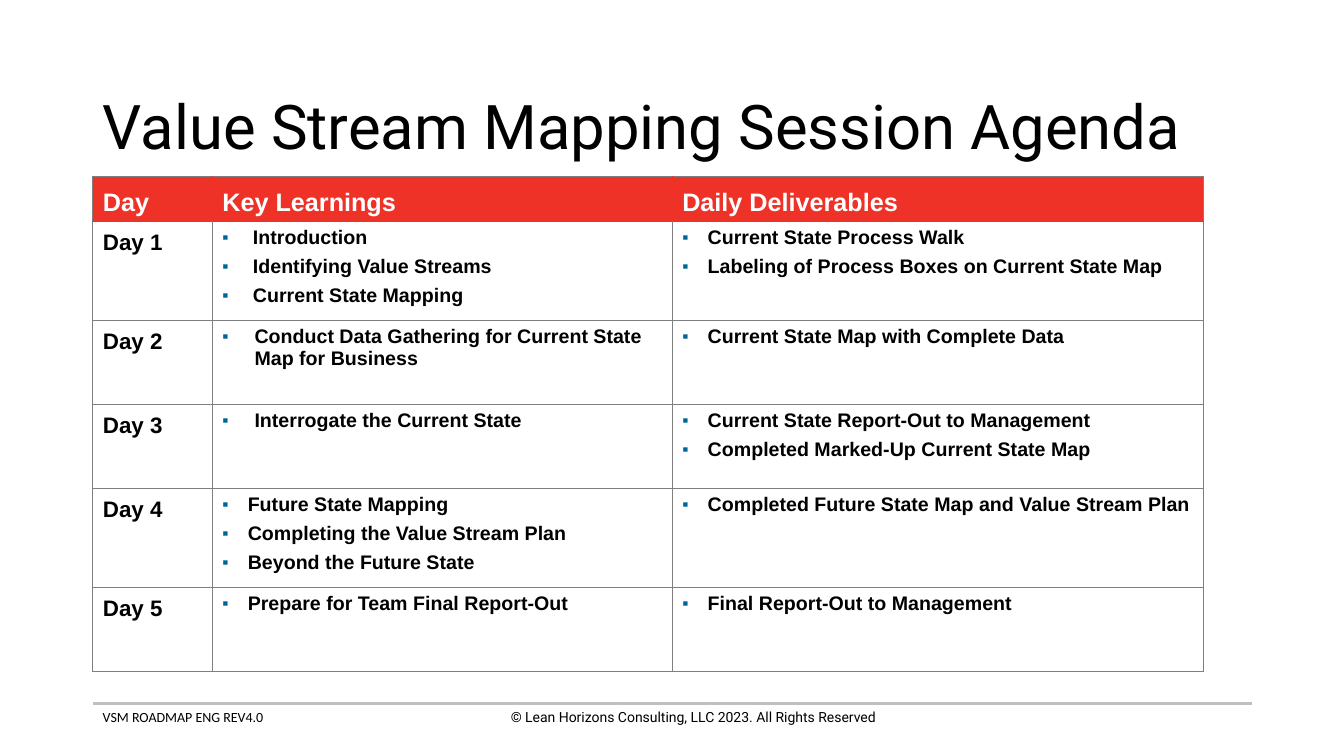
from dataclasses import dataclass

from lxml import etree
from pptx import Presentation
from pptx.dml.color import RGBColor
from pptx.enum import shapes, text
from pptx.oxml import ns
from pptx.util import Cm, Pt

RED = RGBColor(0xEE, 0x32, 0x28)
GREY = RGBColor(0x7F, 0x7F, 0x7F)
SILVER = RGBColor(0xBF, 0xBF, 0xBF)
BLUE = RGBColor(0x00, 0x66, 0x99)
BLACK = RGBColor(0, 0, 0)
WHITE = RGBColor(0xFF, 0xFF, 0xFF)

LEFT = Cm(2.34)
FOOTER_TOP = Cm(17.73)
COLUMN_WIDTHS = (Cm(3.01), Cm(11.59), Cm(13.38))
HEADER_HEIGHT = Cm(1.13)
BULLET_INDENT = Cm(0.64)


@dataclass(frozen=True)
class Day:
    learnings: tuple[str, ...]
    deliverables: tuple[str, ...]
    height: Cm = Cm(2.11)
    indent: Cm = BULLET_INDENT


@dataclass(frozen=True)
class Footer:
    label: str
    left: Cm
    font: str
    align: text.PP_ALIGN


HEADINGS = ("Day", "Key Learnings", "Daily Deliverables")
DAYS = (
    Day(("Introduction", "Identifying Value Streams", "Current State Mapping"),
        ("Current State Process Walk", "Labeling of Process Boxes on Current State Map"),
        height=Cm(2.5), indent=Cm(0.77)),
    Day(("Conduct Data Gathering for Current State Map for Business",),
        ("Current State Map with Complete Data",), indent=Cm(0.81)),
    Day(("Interrogate the Current State",),
        ("Current State Report-Out to Management", "Completed Marked-Up Current State Map"),
        indent=Cm(0.81)),
    Day(("Future State Mapping", "Completing the Value Stream Plan", "Beyond the Future State"),
        ("Completed Future State Map and Value Stream Plan",), height=Cm(2.5)),
    Day(("Prepare for Team Final Report-Out",), ("Final Report-Out to Management",)),
)
FOOTERS = (
    Footer("VSM ROADMAP ENG REV4.0", LEFT, "Calibri", text.PP_ALIGN.LEFT),
    Footer("© Lean Horizons Consulting, LLC 2023. All Rights Reserved", Cm(11.68),
           "Roboto", text.PP_ALIGN.CENTER),
)


def add_bullet(p, indent: Cm) -> None:
    pPr = p._p.get_or_add_pPr()
    pPr.set("marL", str(indent))
    pPr.set("indent", str(-indent))
    colour = etree.SubElement(pPr, ns.qn("a:buClr"))
    etree.SubElement(colour, ns.qn("a:srgbClr"), val=str(BLUE))
    etree.SubElement(pPr, ns.qn("a:buSzPct"), val="90000")
    etree.SubElement(pPr, ns.qn("a:buFont"), typeface="Arial")
    etree.SubElement(pPr, ns.qn("a:buChar"), char="▪")


def write(tf, *lines: str, size: float, font: str = "Arial", color: RGBColor = BLACK,
          bold: bool = False, align: text.PP_ALIGN = text.PP_ALIGN.LEFT,
          spacing: float = 1.0, gap: float = 0, indent: Cm | None = None) -> None:
    """Fill a text frame with one paragraph per line; an indent makes them bullets."""
    for i, line in enumerate(lines):
        p = tf.paragraphs[0] if i == 0 else tf.add_paragraph()
        if indent is not None:
            add_bullet(p, indent)
        p.alignment = align
        p.line_spacing = spacing
        p.space_before = Pt(gap if i else 0)
        p.space_after = Pt(0)
        r = p.add_run()
        r.text = line
        r.font.name = font
        r.font.size = Pt(size)
        r.font.bold = bold
        r.font.color.rgb = color


def set_borders(cell, **edges: RGBColor) -> None:
    """Draw the cell edges L, R, T and B in grey unless another colour is given."""
    tcPr = cell._tc.get_or_add_tcPr()
    for edge in "LRTB":
        ln = etree.SubElement(tcPr, ns.qn(f"a:ln{edge}"), w=str(Pt(1)))
        fill = etree.SubElement(ln, ns.qn("a:solidFill"))
        etree.SubElement(fill, ns.qn("a:srgbClr"), val=str(edges.get(edge, GREY)))


def add_title(s) -> None:
    title = s.shapes.title
    title.left, title.top, title.width, title.height = LEFT, Cm(1.88), Cm(29.21), Cm(2.79)
    tf = title.text_frame
    tf.auto_size = text.MSO_AUTO_SIZE.NONE
    tf.vertical_anchor = text.MSO_ANCHOR.MIDDLE
    write(tf, "Value Stream Mapping Session Agenda", size=44, font="Roboto", spacing=0.9)


def add_agenda(s) -> None:
    heights = (HEADER_HEIGHT, *(day.height for day in DAYS))
    table = s.shapes.add_table(len(heights), len(HEADINGS), LEFT, Cm(4.45),
                               sum(COLUMN_WIDTHS), sum(heights)).table
    table.horz_banding = False
    for column, width in zip(table.columns, COLUMN_WIDTHS):
        column.width = width
    for row, height in zip(table.rows, heights):
        row.height = height

    last = len(HEADINGS) - 1
    for col, heading in enumerate(HEADINGS):
        cell = table.cell(0, col)
        set_borders(cell, L=RED if col else GREY, R=RED if col < last else GREY, B=RED)
        cell.fill.solid()
        cell.fill.fore_color.rgb = RED
        cell.vertical_anchor = text.MSO_ANCHOR.BOTTOM
        write(cell.text_frame, heading, size=18, color=WHITE, bold=True, spacing=1.15)

    for row, day in enumerate(DAYS, start=1):
        name, learnings, deliverables = (table.cell(row, col) for col in range(3))
        for cell in (name, learnings, deliverables):
            set_borders(cell, T=RED if row == 1 else GREY)
            cell.fill.background()
        write(name.text_frame, f"Day {row}", size=16, bold=True, spacing=1.15)
        write(learnings.text_frame, *day.learnings, size=14, bold=True, gap=5,
              indent=day.indent)
        write(deliverables.text_frame, *day.deliverables, size=14, bold=True, gap=5,
              indent=BULLET_INDENT)


def add_footer(s) -> None:
    rule = s.shapes.add_connector(shapes.MSO_CONNECTOR.STRAIGHT, LEFT, FOOTER_TOP,
                                  Cm(31.55), FOOTER_TOP)
    rule.line.color.rgb = SILVER
    rule.line.width = Pt(2)
    etree.SubElement(rule._element.spPr, ns.qn("a:effectLst"))
    for footer in FOOTERS:
        tf = s.shapes.add_textbox(footer.left, FOOTER_TOP, Cm(11.58), Cm(1.12)).text_frame
        tf.word_wrap = True
        write(tf, footer.label, size=10, font=footer.font, align=footer.align)


def main() -> None:
    prs = Presentation()
    prs.slide_width, prs.slide_height = Cm(33.87), Cm(19.05)
    s = prs.slides.add_slide(prs.slide_layouts[5])
    add_footer(s)
    add_title(s)
    add_agenda(s)
    prs.save("out.pptx")


if __name__ == "__main__":
    main()
